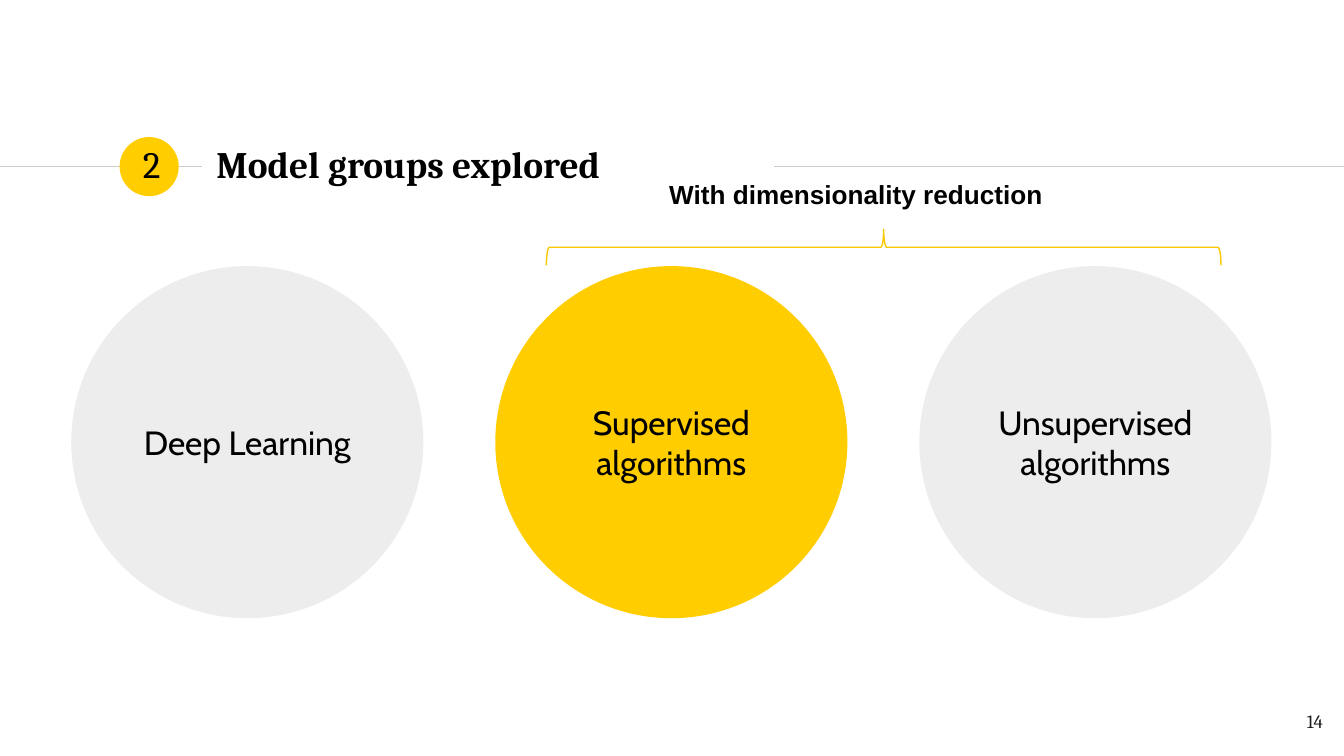
from lxml.etree import SubElement
from pptx import Presentation
from pptx.dml.color import RGBColor
from pptx.enum.shapes import MSO_CONNECTOR, MSO_SHAPE
from pptx.enum.text import MSO_ANCHOR as Anchor, PP_ALIGN as Align
from pptx.oxml.ns import qn
from pptx.util import Inches, Pt

TITLE = "Model groups explored"
NUMBER = "2"
NOTE = "With dimensionality reduction"
PAGE = "14"
GROUPS = [
    # label, fill, opacity in percent
    ("Deep Learning", "black", 7),
    ("Supervised algorithms", "gold", 100),
    ("Unsupervised algorithms", "black", 7),
]
RULES = [(0, 1.5), (5.76, 10)]
RULE_Y = 1.24
COLORS = {
    "black": "000000",
    "gold": "FFCD00",
    "brace": "F9C800",
    "rule": "CCCCCC",
    "page": "1D1D1B",
}
SIZE, TOP = 2.62, 1.98
FIRST, LAST = 0.53, 6.84
STEP = (LAST - FIRST) / (len(GROUPS) - 1)


def color(name):
    return RGBColor.from_string(COLORS[name])


def write(shape, text, size, font, align=Align.LEFT, anchor=Anchor.MIDDLE,
          bold=False, ink="black", inset=0.1):
    frame = shape.text_frame
    frame.text = text
    frame.word_wrap = True
    frame.vertical_anchor = anchor
    frame.margin_left = frame.margin_right = Inches(0.1)
    frame.margin_top = frame.margin_bottom = Inches(inset)
    para = frame.paragraphs[0]
    para.alignment = align
    style = para.runs[0].font
    style.size, style.name, style.bold = Pt(size), font, bold
    style.color.rgb = color(ink)


def add_box(slide, box, *args, **kw):
    write(slide.shapes.add_textbox(*map(Inches, box)), *args, **kw)


def add_disc(slide, x, y, size, fill, alpha=100):
    disc = slide.shapes.add_shape(
        MSO_SHAPE.OVAL, *map(Inches, (x, y, size, size)))
    disc.shadow.inherit = False
    disc.line.fill.background()
    disc.fill.solid()
    disc.fill.fore_color.rgb = color(fill)
    if alpha < 100:
        tint = disc.fill._xPr.find(".//" + qn("a:srgbClr"))
        SubElement(tint, qn("a:alpha"), val=str(alpha * 1000))
    return disc


def add_rule(slide, start, end):
    rule = slide.shapes.add_connector(
        MSO_CONNECTOR.STRAIGHT, *map(Inches, (start, RULE_Y, end, RULE_Y)))
    rule.line.color.rgb = color("rule")
    rule.line.width = Pt(0.75)
    SubElement(rule._element.spPr, qn("a:effectLst"))


def add_brace(slide):
    """Turn a tall right brace so that it spans the last two groups."""
    brace = slide.shapes.add_shape(
        MSO_SHAPE.RIGHT_BRACE, *map(Inches, (6.44, -0.67, 0.27, 5.02)))
    brace.rotation = 270
    brace.shadow.inherit = False
    brace.fill.background()
    brace.line.color.rgb = color("brace")
    brace.line.width = Pt(0.75)


def main():
    deck = Presentation()
    deck.slide_width = Inches(10)
    deck.slide_height = deck.slide_width * 9 // 16
    slide = deck.slides.add_slide(deck.slide_layouts[5])

    for start, end in RULES:
        add_rule(slide, start, end)
    add_disc(slide, 0.89, 1.02, 0.44, "gold")

    title = slide.shapes.title
    title.left, title.top, title.width, title.height = map(
        Inches, (1.51, 0.98, 4.24, 0.48))
    write(title, TITLE, 20, "Cambria", bold=True)

    for i, (label, fill, alpha) in enumerate(GROUPS):
        disc = add_disc(slide, FIRST + i * STEP, TOP, SIZE, fill, alpha)
        write(disc, label, 18, "Cabin", Align.CENTER)

    add_box(slide, (9.34, 5.2, 0.6, 0.43), PAGE, 10, "Cambria",
            Align.RIGHT, Anchor.TOP, ink="page")
    add_brace(slide)
    add_box(slide, (4.88, 1.28, 3.39, 0.34), NOTE, 14, "Arial",
            anchor=Anchor.TOP, bold=True, inset=0.05)
    add_box(slide, (0.96, 1.03, 0.34, 0.38), NUMBER, 20, "Cambria",
            Align.CENTER)
    deck.save("out.pptx")


if __name__ == "__main__":
    main()
